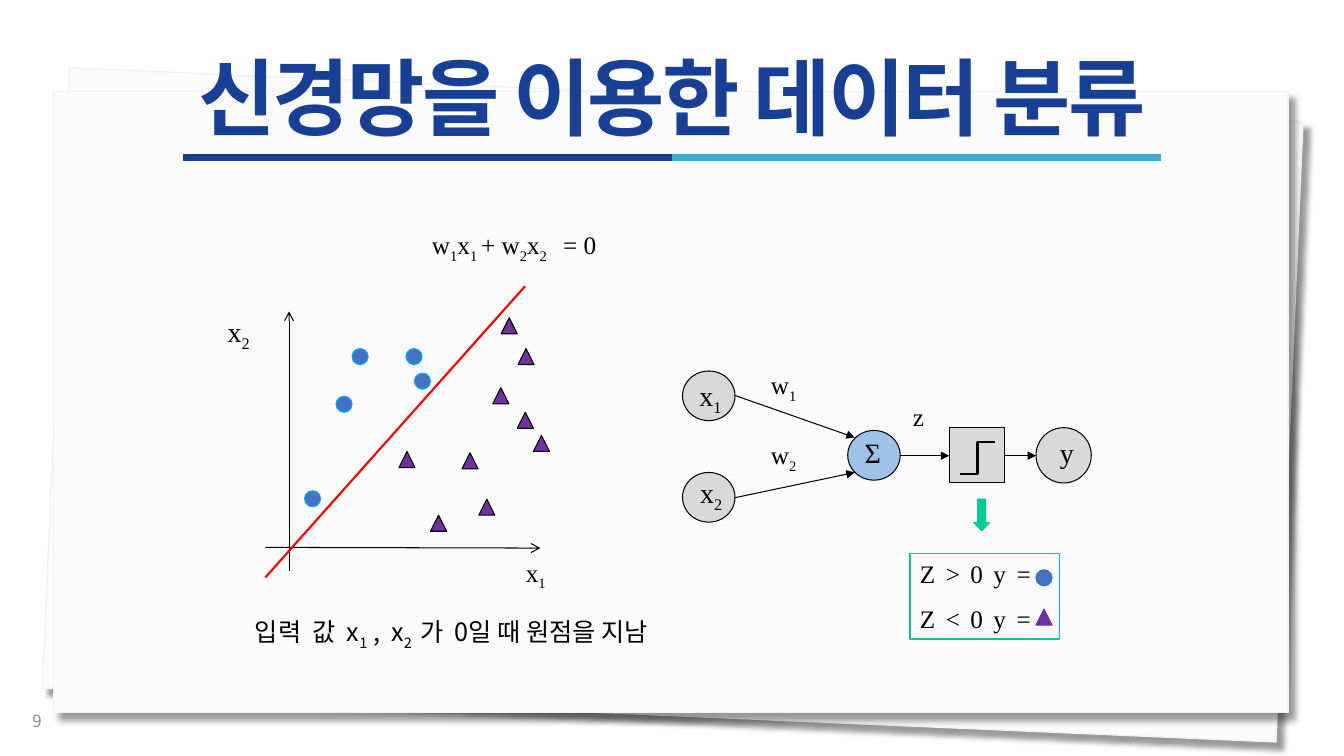
"""Builds a slide on classifying data with a single-neuron network."""
from lxml import etree
from pptx import Presentation
from pptx.dml.color import RGBColor
from pptx.enum.shapes import MSO_CONNECTOR, MSO_SHAPE
from pptx.enum.text import MSO_ANCHOR, MSO_AUTO_SIZE, PP_ALIGN
from pptx.oxml.ns import qn
from pptx.util import Pt

RECT, OVAL = MSO_SHAPE.RECTANGLE, MSO_SHAPE.OVAL
TRIANGLE, DOWN_ARROW = MSO_SHAPE.ISOSCELES_TRIANGLE, MSO_SHAPE.DOWN_ARROW
STRAIGHT, ELBOW = MSO_CONNECTOR.STRAIGHT, MSO_CONNECTOR.ELBOW
TOP, MIDDLE = MSO_ANCHOR.TOP, MSO_ANCHOR.MIDDLE
CENTER, LEFT = PP_ALIGN.CENTER, PP_ALIGN.LEFT
NO_AUTOFIT = MSO_AUTO_SIZE.NONE


class Theme:
    """Colours, fonts and type sizes of the slide."""
    korean, serif = "Noto Sans CJK KR", "Times New Roman"
    title_size, symbol_size, body_size, number_size = 60, 20, 18, 12
    title, rule_dark, rule_light = "173F95", "163E94", "36AAD9"
    paper, paper_edge = "FBFBFB", "F2F2F2"
    ink, muted, boundary = "000000", "8C8C8C", "FF0000"
    blue, blue_edge, legend_edge = "4472C4", "00B0F0", "2E75B6"
    purple, green = "7030A0", "00CC99"
    node, sum_node = "D9D9D9", "9DC3E6"


def color(code):
    return RGBColor.from_string(code)


def write(paragraph, runs, size, face, ink, bold=False):
    """Adds runs given as (text, baseline in percent, letter spacing in points)."""
    for text, baseline, spacing in runs:
        run = paragraph.add_run()
        run.text = text
        run.font.size, run.font.name, run.font.bold = Pt(size), face, bold
        run.font.color.rgb = color(ink)
        properties = run._r.get_or_add_rPr()
        properties.set("baseline", str(baseline * 1000))
        properties.set("spc", str(round(spacing * 100)))
        etree.SubElement(properties, qn("a:ea")).set("typeface", face)


presentation = Presentation()
presentation.slide_width, presentation.slide_height = Pt(960), Pt(540)
slide = presentation.slides.add_slide(presentation.slide_layouts[5])
shapes = slide.shapes

for left, top, angle in [(39.5, 67.5, 2.5), (38, 65.5, 0)]:
    sheet = shapes.add_shape(RECT, Pt(left), Pt(top), Pt(882), Pt(443.5))
    sheet.rotation = angle
    sheet.fill.solid()
    sheet.fill.fore_color.rgb = color(Theme.paper)
    sheet.line.color.rgb = color(Theme.paper_edge)
    sheet.line.width = Pt(1)
    sheet.shadow.inherit = False
    effects = sheet.element.spPr.find(qn("a:effectLst"))
    shadow = etree.SubElement(effects, qn("a:outerShdw"), blurRad=str(Pt(4)),
                              dist=str(Pt(7)), dir="2700000", algn="tl", rotWithShape="0")
    shade = etree.SubElement(shadow, qn("a:srgbClr"), val=Theme.ink)
    etree.SubElement(shade, qn("a:alpha"), val="40000")

heading = shapes.title
shapes.element.append(heading.element)
heading.left, heading.top, heading.width, heading.height = Pt(0), Pt(40.5), Pt(960), Pt(65)
heading.text_frame.auto_size = NO_AUTOFIT
heading.text_frame.vertical_anchor = MIDDLE
heading_line = heading.text_frame.paragraphs[0]
heading_line.alignment, heading_line.line_spacing = CENTER, 0.9
write(heading_line, [("신경망을 이용한 데이터 분류", 0, -1.9)],
      Theme.title_size, Theme.korean, Theme.title, bold=True)

MARK = 11.5
positive_points = [(251.5, 249), (290, 249), (296, 266.5), (240, 283), (217.5, 350.5)]
negative_points = [(352, 277), (369.5, 294.5), (381, 311), (330, 323.5), (342, 356.5),
                   (307.5, 368), (358, 227), (370, 249), (285, 322.5)]
figures = [(OVAL, x, y, MARK, MARK, Theme.blue, Theme.blue_edge) for x, y in positive_points]
figures += [(TRIANGLE, x, y, MARK, MARK, Theme.purple, Theme.ink) for x, y in negative_points]
figures += [
    (OVAL, 487.5, 265, 37.5, 35.5, Theme.node, Theme.ink),
    (OVAL, 487.5, 337.5, 37.5, 35.5, Theme.node, Theme.ink),
    (OVAL, 605.5, 307.5, 37.5, 35.5, Theme.sum_node, Theme.ink),
    (RECT, 678, 305.5, 39.5, 39.5, Theme.node, Theme.ink),
    (OVAL, 740, 305.5, 39.5, 39.5, Theme.node, Theme.ink),
    (DOWN_ARROW, 695.5, 356.5, MARK, 22.5, Theme.green, Theme.green),
    (OVAL, 740, 407, MARK, MARK, Theme.blue, Theme.legend_edge),
    (TRIANGLE, 740, 435, MARK, MARK, Theme.purple, Theme.purple),
    (RECT, 650, 395.5, 106.5, 61, None, Theme.green),
]
for kind, left, top, width, height, fill, edge in figures:
    figure = shapes.add_shape(kind, Pt(left), Pt(top), Pt(width), Pt(height))
    figure.shadow.inherit = False
    if fill:
        figure.fill.solid()
        figure.fill.fore_color.rgb = color(fill)
    else:
        figure.fill.background()
    figure.line.color.rgb = color(edge)
    figure.line.width = Pt(0.75)

legend = figure.text_frame
legend.word_wrap, legend.vertical_anchor = True, TOP
for index, rule in enumerate(["Z > 0 y =", "Z < 0 y ="]):
    entry = legend.add_paragraph() if index else legend.paragraphs[0]
    entry.alignment = LEFT
    entry.space_before = Pt(10 * index)
    write(entry, [(rule, 0, 1.5)], Theme.body_size, Theme.serif, Theme.ink)

lines = [
    (STRAIGHT, 130.5, 112.5, 480, 112.5, Theme.rule_dark, 4.5, None),
    (STRAIGHT, 480, 112.5, 829.5, 112.5, Theme.rule_light, 4.5, None),
    (STRAIGHT, 189.5, 391, 386, 391.5, Theme.ink, 0.75, "arrow"),
    (STRAIGHT, 206.5, 408, 206.5, 222.5, Theme.ink, 0.75, "arrow"),
    (STRAIGHT, 375, 204.5, 189.5, 412.5, Theme.boundary, 1.5, None),
    (STRAIGHT, 525, 282.5, 610.5, 312.5, Theme.ink, 0.75, "triangle"),
    (STRAIGHT, 525, 355.5, 610.5, 337.5, Theme.ink, 0.75, "triangle"),
    (STRAIGHT, 643, 325.5, 678, 325.5, Theme.ink, 0.75, "triangle"),
    (STRAIGHT, 717.5, 325.5, 740, 325.5, Theme.ink, 0.75, "triangle"),
    (ELBOW, 710.5, 316, 686, 338.5, Theme.ink, 1.5, None),
]
for kind, x1, y1, x2, y2, ink, weight, head in lines:
    line = shapes.add_connector(kind, Pt(x1), Pt(y1), Pt(x2), Pt(y2))
    line.line.color.rgb = color(ink)
    line.line.width = Pt(weight)
    if head:
        etree.SubElement(line.get_or_add_ln(), qn("a:tailEnd"), type=head)
    etree.SubElement(line.element.spPr, qn("a:effectLst"))

SUB = -25
symbol = (Theme.symbol_size, Theme.serif, Theme.ink)
body = (Theme.body_size, Theme.serif, Theme.ink)
caption = (Theme.body_size, Theme.korean, Theme.ink)
page_number = (Theme.number_size, Theme.korean, Theme.muted)
labels = [
    (155.5, 221, 51, 31, TOP, symbol, [("x", 0, 0), ("2", SUB, 0)]),
    (368.5, 394.5, 51, 29, TOP, body, [("x", 0, 0), ("1", SUB, 0)]),
    (492.5, 266.5, 34, 31, TOP, symbol, [("x", 0, 0), ("1", SUB, 0)]),
    (493, 336, 34, 31, TOP, symbol, [("x", 0, 0), ("2", SUB, 0)]),
    (610.5, 307.5, 34, 31, TOP, symbol, [("Σ", 0, 0)]),
    (750, 307.5, 30, 31, TOP, symbol, [("y", 0, 0)]),
    (543.5, 260.5, 67.5, 29, TOP, body, [("w", 0, 0), ("1", SUB, 0)]),
    (543.5, 310.5, 67.5, 29, TOP, body, [("w", 0, 0), ("2", SUB, 0)]),
    (645, 283, 67.5, 29, TOP, body, [("z", 0, 0)]),
    (301.5, 160.5, 163.5, 29, TOP, body,
     [("w", 0, 0), ("1", SUB, 0), ("x", 0, 0), ("1 ", SUB, 0), ("+ w", 0, 0),
      ("2", SUB, 0), ("x", 0, 0), ("2", SUB, 0), (" ", 0, 7), ("= 0", 0, 0)]),
    (175, 437, 330, 29, TOP, caption,
     [("입력", 0, 0), (" ", 0, 4), ("값", 0, 0), (" ", 0, 4), ("x", 0, 0), ("1", SUB, 0),
      (" ,", 0, 0), (" ", 0, 4), ("x", 0, 0), ("2", SUB, 0), (" ", 0, 2),
      ("가", 0, 0), (" ", 0, 4), ("0일 때 원점을 지남", 0, 0)]),
    (16, 500.5, 216, 29, MIDDLE, page_number, [("9", 0, 0)]),
]
for left, top, width, height, anchor, style, runs in labels:
    label = shapes.add_textbox(Pt(left), Pt(top), Pt(width), Pt(height)).text_frame
    label.word_wrap, label.vertical_anchor = True, anchor
    write(label.paragraphs[0], runs, *style)

presentation.save("out.pptx")
